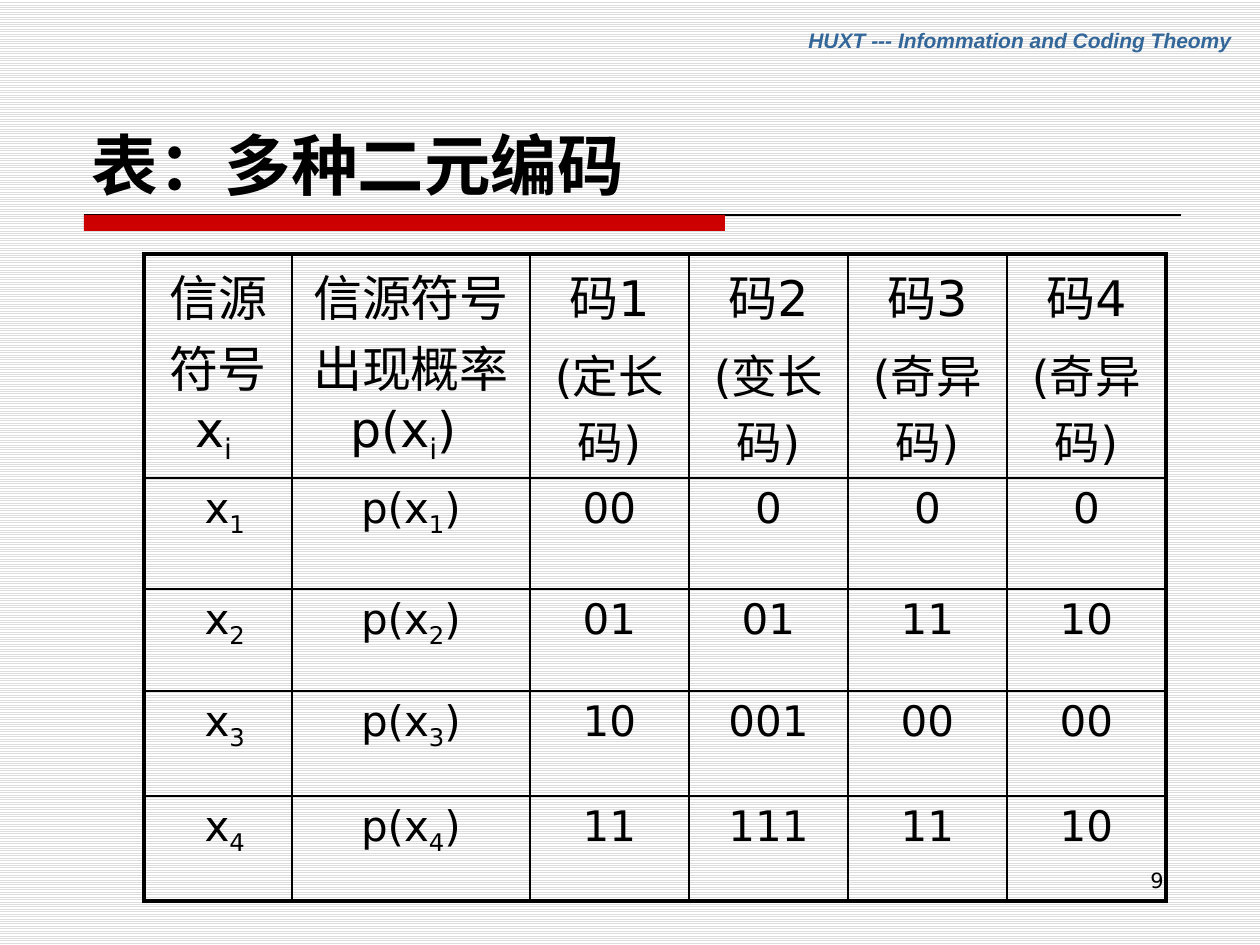
from dataclasses import dataclass

from lxml.etree import SubElement
from pptx import Presentation
from pptx.dml.color import RGBColor
from pptx.enum.dml import MSO_PATTERN
from pptx.enum.shapes import MSO_CONNECTOR, MSO_SHAPE
from pptx.enum.text import MSO_ANCHOR, MSO_AUTO_SIZE, PP_ALIGN
from pptx.oxml.ns import qn
from pptx.util import Emu, Pt


@dataclass(frozen=True)
class Theme:
    text: str = "000000"
    accent: str = "CC0000"
    banner: str = "336699"
    paper: str = "FFFFFF"
    stripe: str = "DDDDDD"
    body_font: str = "DejaVu Sans"
    banner_font: str = "Arial"
    title_size: int = 38
    heading_size: int = 28
    note_size: int = 26
    code_size: int = 24
    small_size: int = 12
    thin: float = 1
    thick: float = 2.25


@dataclass(frozen=True)
class Box:
    left: int
    top: int
    width: int
    height: int


@dataclass(frozen=True)
class Line:
    """One paragraph; text between underscores is set as a subscript."""
    text: str
    size: int


THEME = Theme()
COLUMN_WIDTHS = [148, 238, 159, 159, 159, 159]
ROW_HEIGHTS = [224, 111, 102, 105, 105]
CODE_KINDS = ["定长码", "变长码", "奇异码", "奇异码"]
CODE_WORDS = [
    ["00", "0", "0", "0"],
    ["01", "01", "11", "10"],
    ["10", "001", "00", "00"],
    ["11", "111", "11", "10"],
]


def px(length: int) -> Emu:
    return Emu(round(length * 914400 / 126))


def place(box: Box) -> list[Emu]:
    return [px(length) for length in (box.left, box.top, box.width, box.height)]


def color(code: str) -> RGBColor:
    return RGBColor.from_string(code)


def add_span(para, text: str, size: int, shade: str = THEME.text, **extra) -> None:
    span = para.add_run()
    span.text = text
    formats = {"name": THEME.body_font, "size": Pt(size), **extra}
    for name, value in formats.items():
        setattr(span.font, name, value)
    span.font.color.rgb = color(shade)
    return span


def add_label(page, box: Box, text: str, wrap: bool, align, shade: str, **extra) -> None:
    frame = page.shapes.add_textbox(*place(box)).text_frame
    frame.word_wrap = wrap
    para = frame.paragraphs[0]
    para.alignment = align
    add_span(para, text, THEME.small_size, shade, **extra)


def set_title(page, box: Box, text: str) -> None:
    title = page.shapes.title
    title.left, title.top, title.width, title.height = place(box)
    frame = title.text_frame
    frame.auto_size = MSO_AUTO_SIZE.NONE
    frame.vertical_anchor = MSO_ANCHOR.BOTTOM
    para = frame.paragraphs[0]
    para.alignment = PP_ALIGN.LEFT
    add_span(para, text, THEME.title_size, bold=True)


def add_rule(page, left: int, right: int, top: int) -> None:
    rule = page.shapes.add_connector(
        MSO_CONNECTOR.STRAIGHT, px(left), px(top), px(right), px(top))
    rule.line.color.rgb = color(THEME.text)
    rule.line.width = Pt(0.75)
    SubElement(rule._element.spPr, qn("a:effectLst"))


def add_bar(page, box: Box) -> None:
    bar = page.shapes.add_shape(MSO_SHAPE.RECTANGLE, *place(box))
    bar.shadow.inherit = False
    bar.fill.solid()
    bar.fill.fore_color.rgb = color(THEME.accent)
    bar.line.fill.background()


def set_borders(cell, outer: dict[str, bool]) -> None:
    properties = cell._tc.get_or_add_tcPr()
    for side, is_outer in outer.items():
        width = Pt(THEME.thick if is_outer else THEME.thin)
        border = SubElement(properties, qn(f"a:ln{side}"), w=str(int(width)))
        fill = SubElement(border, qn("a:solidFill"))
        SubElement(fill, qn("a:srgbClr"), val=THEME.text)


def fill_cell(cell, lines: list[Line]) -> None:
    frame = cell.text_frame
    for number, line in enumerate(lines):
        para = frame.add_paragraph() if number else frame.paragraphs[0]
        para.alignment = PP_ALIGN.CENTER
        para.space_before = Pt(round(line.size * 0.2, 1))
        for position, part in enumerate(line.text.split("_")):
            if not part:
                continue
            span = add_span(para, part, line.size)
            if position % 2:
                span.font._element.set("baseline", "-25000")


def table_content() -> list[list[list[Line]]]:
    header = [[Line(text, THEME.heading_size)]
              for text in ("信源符号x_i _", "信源符号出现概率p(x_i_) ")]
    header += [[Line(f"码{number}", THEME.heading_size),
                Line(f"({kind})", THEME.note_size)]
               for number, kind in enumerate(CODE_KINDS, 1)]
    rows = [header]
    for number, words in enumerate(CODE_WORDS, 1):
        texts = [f" x_{number}_", f"p(x_{number}_)", *words]
        rows.append([[Line(text, THEME.code_size)] for text in texts])
    return rows


def add_code_table(page, left: int, top: int) -> None:
    content = table_content()
    box = Box(left, top, sum(COLUMN_WIDTHS), sum(ROW_HEIGHTS))
    last_row, last_column = len(ROW_HEIGHTS) - 1, len(COLUMN_WIDTHS) - 1
    table = page.shapes.add_table(last_row + 1, last_column + 1, *place(box)).table
    table.first_row = table.horz_banding = False
    for column, width in zip(table.columns, COLUMN_WIDTHS):
        column.width = px(width)
    for row, height in zip(table.rows, ROW_HEIGHTS):
        row.height = px(height)
    for r, row_content in enumerate(content):
        for c, lines in enumerate(row_content):
            cell = table.cell(r, c)
            fill_cell(cell, lines)
            set_borders(cell, {"L": c == 0, "R": c == last_column,
                               "T": r == 0, "B": r == last_row})
            cell.fill.background()


def main() -> None:
    deck = Presentation()
    deck.slide_width, deck.slide_height = px(1260), px(945)
    page = deck.slides.add_slide(deck.slide_layouts[5])

    # Striped background
    backdrop = page.background.fill
    backdrop.patterned()
    backdrop.pattern = MSO_PATTERN.LIGHT_HORIZONTAL
    backdrop.fore_color.rgb = color(THEME.stripe)
    backdrop.back_color.rgb = color(THEME.paper)

    # Title with its underline, course banner and page number
    add_rule(page, 84, 1181, 215)
    add_bar(page, Box(84, 215, 641, 16))
    add_label(page, Box(796, 21, 450, 38), "HUXT --- Infommation and Coding Theomy",
              False, PP_ALIGN.LEFT, THEME.banner,
              name=THEME.banner_font, bold=True, italic=True)
    add_label(page, Box(903, 861, 273, 66), "9", True, PP_ALIGN.RIGHT, THEME.text)
    set_title(page, Box(79, 42, 1103, 168), "表：多种二元编码")

    # Table of binary codes
    add_code_table(page, 144, 254)
    deck.save("out.pptx")


if __name__ == "__main__":
    main()
